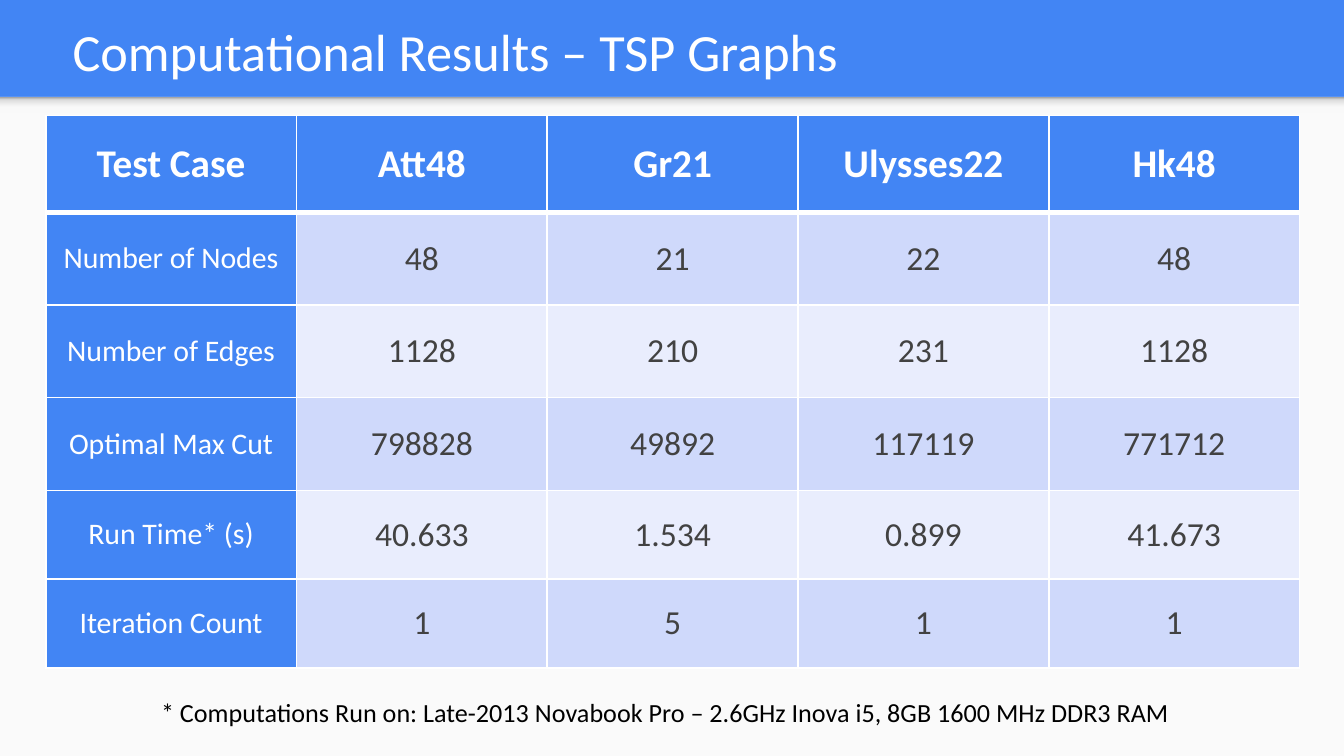
import lxml.etree
import pptx
import pptx.dml.color
import pptx.enum.shapes
import pptx.enum.text
import pptx.oxml.ns
import pptx.util

Inches = pptx.util.Inches
ALIGN = pptx.enum.text.PP_ALIGN
ANCHOR = pptx.enum.text.MSO_ANCHOR
qn = pptx.oxml.ns.qn

TITLE = "Computational Results – TSP Graphs"
FOOTNOTE = "* Computations Run on: Late-2013 Novabook Pro – 2.6GHz Inova i5, 8GB 1600 MHz DDR3 RAM"
RESULTS = [
    ("Test Case", "Att48", "Gr21", "Ulysses22", "Hk48"),
    ("Number of Nodes", "48", "21", "22", "48"),
    ("Number of Edges", "1128", "210", "231", "1128"),
    ("Optimal Max Cut", "798828", "49892", "117119", "771712"),
    ("Run Time* (s)", "40.633", "1.534", "0.899", "41.673"),
    ("Iteration Count", "1", "5", "1", "1"),
]
ROW_HEIGHTS = [0.72, 0.69, 0.69, 0.69, 0.66, 0.66]
TABLE_LEFT, TABLE_TOP, TABLE_WIDTH = 0.34, 0.86, 9.33
WIDTH, HEADER = 10, 0.72
HEIGHT = WIDTH * 9 / 16

FONT = "Calibri"
COLORS = {
    "blue": "4285F4", "panel": "FAFAFA", "white": "FFFFFF", "black": "000000",
    "value": "424242", "odd_row": "CFD9FB", "even_row": "E9EDFD",
}
SHADOW_STOPS = [(0, "999999"), (20, "DEDEDE"), (64, "F9F9F9"), (100, "F9F9F9")]


def rgb(name):
    return pptx.dml.color.RGBColor.from_string(COLORS[name])


def paint(fill, name):
    fill.solid()
    fill.fore_color.rgb = rgb(name)


def write(tf, text, size, color, bold=False, align=ALIGN.LEFT):
    p = tf.paragraphs[0]
    p.alignment = align
    r = p.add_run()
    r.text = text
    r.font.name = FONT
    r.font.size = pptx.util.Pt(size)
    r.font.bold = bold
    r.font.color.rgb = rgb(color)


def add_band(s, top, height):
    sp = s.shapes.add_shape(pptx.enum.shapes.MSO_SHAPE.RECTANGLE,
                            0, Inches(top), Inches(WIDTH), Inches(height))
    sp.shadow.inherit = False
    sp.line.fill.background()
    return sp


def fade(sp, stops):
    """Fill the shape with a top-to-bottom gradient of (percent, hex) stops."""
    sp.fill.gradient()
    sp.fill.gradient_angle = 270
    gs_list = next(sp.element.iter(qn("a:gsLst")))
    for gs in list(gs_list):
        gs_list.remove(gs)
    for percent, color in stops:
        gs = lxml.etree.SubElement(gs_list, qn("a:gs"), pos=str(percent * 1000))
        lxml.etree.SubElement(gs, qn("a:srgbClr"), val=color)


def set_borders(cell, **widths):
    """Draw white borders; widths are points by side: L, R, T, B in that order."""
    tc_pr = cell._tc.get_or_add_tcPr()
    for i, (side, width) in enumerate(widths.items()):
        ln = lxml.etree.Element(qn("a:ln" + side), w=str(pptx.util.Pt(width)))
        fill = lxml.etree.SubElement(ln, qn("a:solidFill"))
        lxml.etree.SubElement(fill, qn("a:srgbClr"), val=COLORS["white"])
        tc_pr.insert(i, ln)


def cell_style(row, col):
    """Return the cell's fill and its text format."""
    if row == 0:
        return "blue", dict(size=21, color="white", bold=True)
    if col == 0:
        return "blue", dict(size=16, color="white")
    return ("odd_row" if row % 2 else "even_row"), dict(size=18, color="value")


def add_results(s):
    n_rows, n_cols = len(RESULTS), len(RESULTS[0])
    table = s.shapes.add_table(n_rows, n_cols, Inches(TABLE_LEFT), Inches(TABLE_TOP),
                               Inches(TABLE_WIDTH), Inches(sum(ROW_HEIGHTS))).table
    table.first_row = table.horz_banding = False
    for row, values in enumerate(RESULTS):
        table.rows[row].height = Inches(ROW_HEIGHTS[row])
        for col, text in enumerate(values):
            cell = table.cell(row, col)
            cell.vertical_anchor = ANCHOR.MIDDLE
            fill, text_format = cell_style(row, col)
            paint(cell.fill, fill)
            write(cell.text_frame, text, align=ALIGN.CENTER, **text_format)
            set_borders(cell, L=1, R=1, T=3 if row == 1 else 1, B=3 if row == 0 else 1)


def main():
    prs = pptx.Presentation()
    prs.slide_width, prs.slide_height = Inches(WIDTH), Inches(HEIGHT)
    s = prs.slides.add_slide(prs.slide_layouts[5])
    paint(s.background.fill, "blue")

    paint(add_band(s, HEADER, HEIGHT - HEADER).fill, "panel")
    fade(add_band(s, HEADER, 0.12), SHADOW_STOPS)

    title = s.shapes.title
    title.left, title.top = Inches(0.44), 0
    title.width, title.height = Inches(8.82), Inches(0.71)
    tf = title.text_frame
    tf.auto_size = pptx.enum.text.MSO_AUTO_SIZE.NONE
    tf.vertical_anchor = ANCHOR.BOTTOM
    tf.margin_left = tf.margin_right = tf.margin_top = tf.margin_bottom = Inches(0.1)
    write(tf, TITLE, size=28, color="white")

    note = s.shapes.add_textbox(Inches(1.1), Inches(5.13), Inches(7.9), Inches(0.34))
    note.text_frame.word_wrap = True
    write(note.text_frame, FOOTNOTE, size=14, color="black")

    add_results(s)
    prs.save("out.pptx")


if __name__ == "__main__":
    main()
